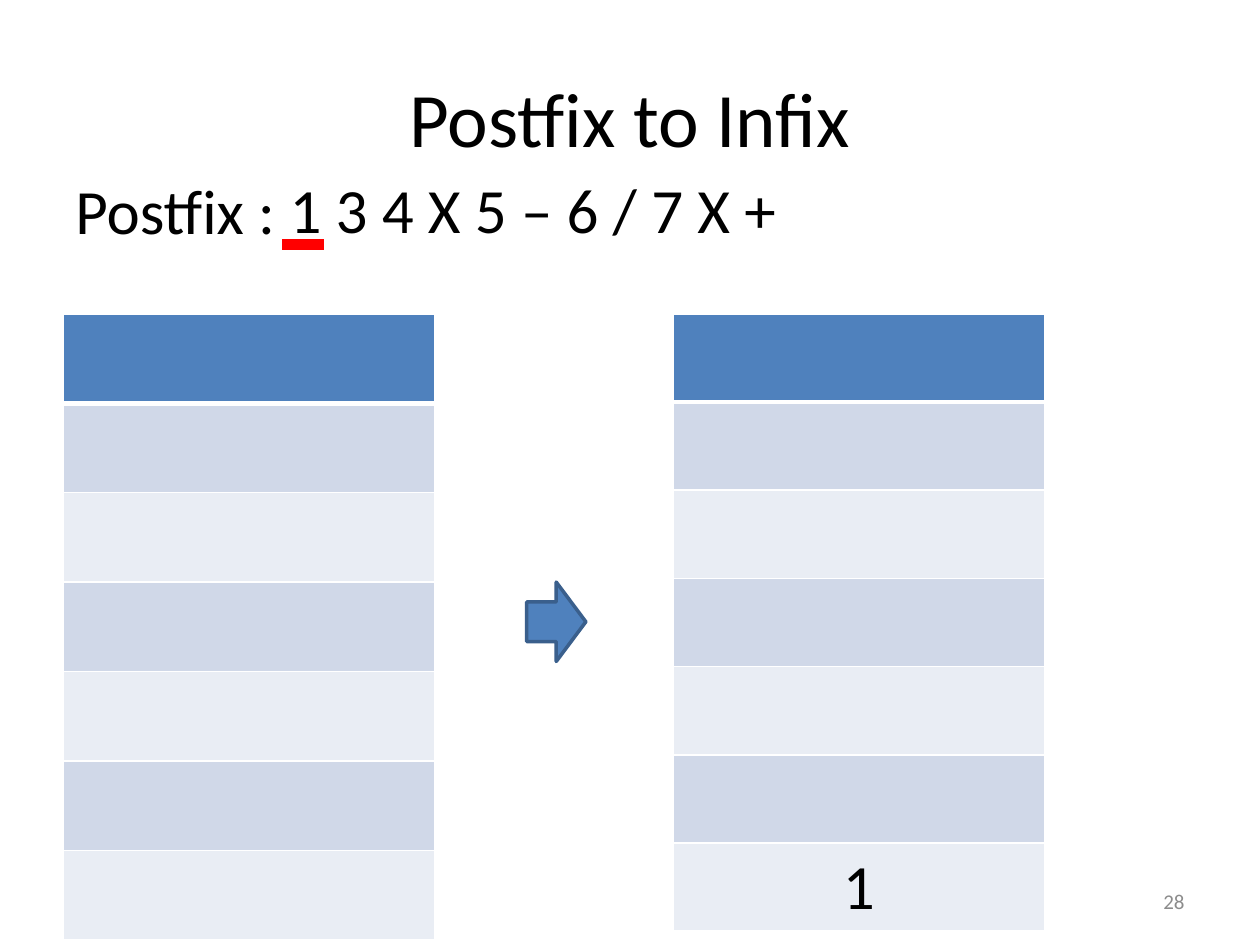
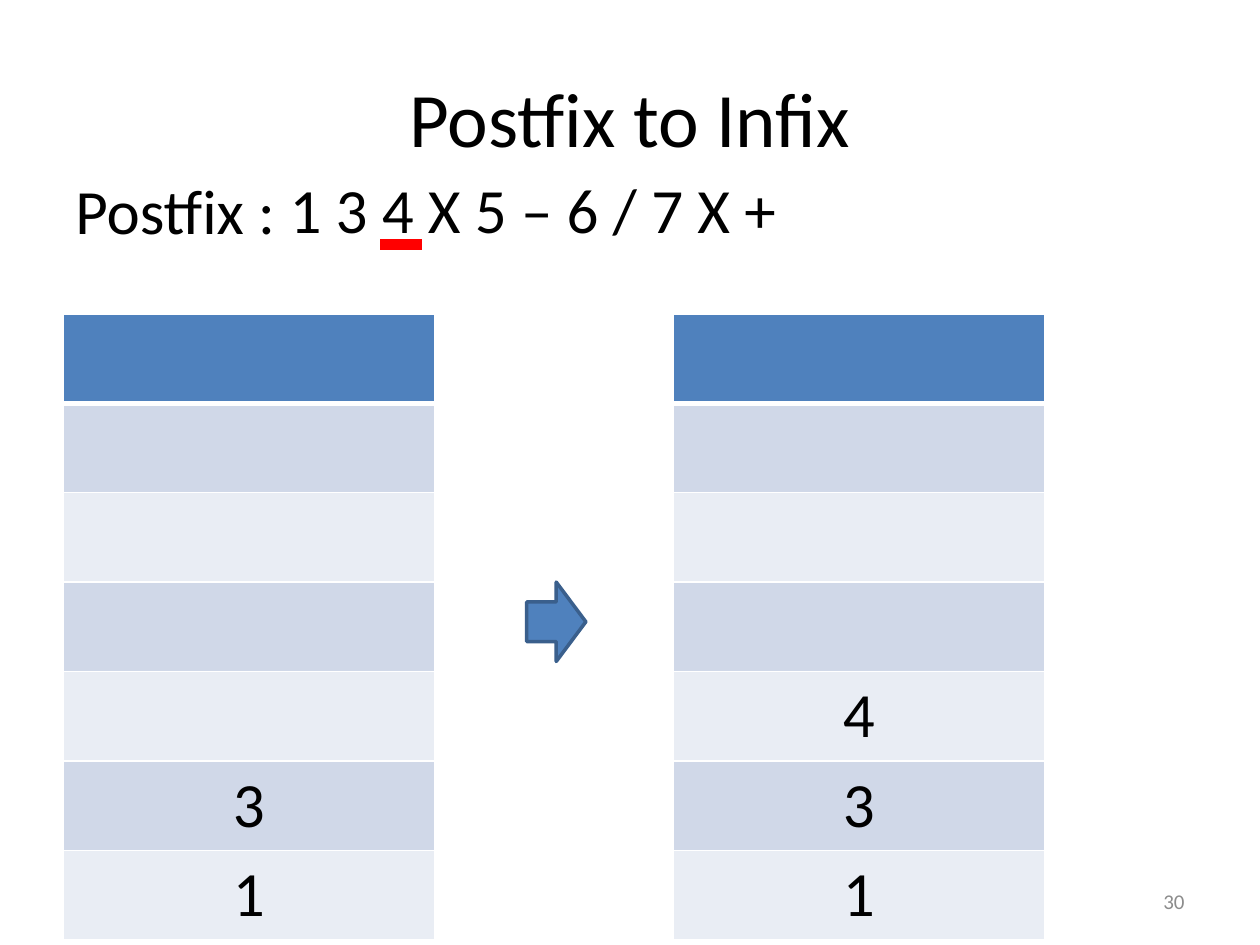
from dataclasses import dataclass

from lxml import etree
from pptx import Presentation
from pptx.dml.color import RGBColor
from pptx.enum.shapes import MSO_CONNECTOR as Connector, MSO_SHAPE as Shape
from pptx.enum.text import MSO_ANCHOR as Anchor, PP_ALIGN as Align
from pptx.oxml.ns import qn
from pptx.util import Inches, Pt

BLACK = RGBColor(0x00, 0x00, 0x00)
WHITE = RGBColor(0xFF, 0xFF, 0xFF)
GREY = RGBColor(0x8C, 0x8C, 0x8C)
RED = RGBColor(0xFF, 0x00, 0x00)
BLUE = RGBColor(0x4F, 0x81, 0xBD)
DARK_BLUE = RGBColor(0x3A, 0x5F, 0x8C)
BANDS = (RGBColor(0xE9, 0xED, 0xF4), RGBColor(0xD0, 0xD8, 0xE8))

FONT = "Calibri"
WIDTH, HEIGHT = Inches(10), Inches(7.5)
COLUMNS, ROWS = 100, 75  # page grid
STACK_ROWS = 7
TOKEN_PITCH = 3.9  # grid columns from one operand to the next

TITLE = "Postfix to Infix"
EXPRESSION = "1 3 4 X 5 – 6 / 7 X +"


@dataclass
class Box:
    """A region measured in grid columns and rows."""
    left: float
    top: float
    width: float
    height: float

    def inner(self, left, top, width, height):
        return Box(self.left + left, self.top + top, width, height)

    def lengths(self):
        column, row = WIDTH / COLUMNS, HEIGHT / ROWS
        return (round(self.left * column), round(self.top * row),
                round(self.width * column), round(self.height * row))


PAGE = Box(0, 0, COLUMNS, ROWS)


def write(frame, text, size, color=BLACK, align=Align.LEFT):
    para = frame.paragraphs[0]
    para.alignment = align
    span = para.add_run()
    span.text = text
    span.font.name = FONT
    span.font.size = Pt(size)
    span.font.color.rgb = color


def add_text(page, box, text, size, color=BLACK, align=Align.LEFT, anchor=Anchor.TOP):
    frame = page.shapes.add_textbox(*box.lengths()).text_frame
    frame.word_wrap = True
    frame.vertical_anchor = anchor
    write(frame, text, size, color, align)


def add_title(page, box):
    title = page.shapes.title
    title.left, title.top, title.width, title.height = box.lengths()
    title.text_frame.vertical_anchor = Anchor.MIDDLE
    write(title.text_frame, TITLE, 44, align=Align.CENTER)


def add_expression(page, box, token):
    # Label and expression
    add_text(page, box.inner(0, 0.1, 36.7, 7.1), "Postfix :", 36)
    add_text(page, box.inner(17, 0, 62.9, 7.1), EXPRESSION, 36)

    # Bar under the token being read
    left, top, width, _ = box.inner(17.4 + token * TOKEN_PITCH, 6.4, 3.3, 0).lengths()
    bar = page.shapes.add_connector(Connector.STRAIGHT, left, top, left + width, top)
    bar.line.color.rgb = RED
    bar.line.width = Pt(6)
    etree.SubElement(bar._element.spPr, qn("a:effectLst"))


def set_borders(cell, top, bottom):
    properties = cell._tc.get_or_add_tcPr()
    for side, points in (("L", 1), ("R", 1), ("T", top), ("B", bottom)):
        line = etree.SubElement(properties, qn(f"a:ln{side}"), w=str(Pt(points)))
        fill = etree.SubElement(line, qn("a:solidFill"))
        etree.SubElement(fill, qn("a:srgbClr"), val=str(WHITE))


def add_stack(page, box, values):
    """Draw a stack; values run from the bottom up."""
    table = page.shapes.add_table(STACK_ROWS, 1, *box.lengths()).table
    for index in range(STACK_ROWS):
        cell = table.cell(index, 0)
        set_borders(cell, top=3 if index == 1 else 1, bottom=3 if index == 0 else 1)
        cell.fill.solid()
        cell.fill.fore_color.rgb = BANDS[index % 2] if index else BLUE
        depth = STACK_ROWS - 1 - index
        if depth < len(values):
            write(cell.text_frame, values[depth], 36, align=Align.CENTER)


def add_step(page, box, before, after, after_row):
    # Stacks before and after the token is read
    add_stack(page, box.inner(0, 0, 29.5, 7.1 * STACK_ROWS), before)
    add_stack(page, box.inner(48.4, 0, 29.5, after_row * STACK_ROWS), after)

    # Arrow between the stacks
    arrow = page.shapes.add_shape(Shape.RIGHT_ARROW, *box.inner(36.8, 21.3, 4.7, 6.3).lengths())
    arrow.shadow.inherit = False
    arrow.fill.solid()
    arrow.fill.fore_color.rgb = BLUE
    arrow.line.color.rgb = DARK_BLUE
    arrow.line.width = Pt(2)


def add_page(deck, number, token, before, after, after_row=7.1):
    page = deck.slides.add_slide(deck.slide_layouts.get_by_name("Title Only"))
    add_title(page, PAGE.inner(5, 3, 90, 12.5))
    add_expression(page, PAGE.inner(5, 13, 79.9, 7.2), token)
    add_step(page, PAGE.inner(5, 24.9, 77.9, 50), before, after, after_row)
    add_text(page, PAGE.inner(71.7, 69.5, 23.3, 4), number, 12, GREY, Align.RIGHT, Anchor.MIDDLE)


def main():
    deck = Presentation()
    deck.slide_width, deck.slide_height = WIDTH, HEIGHT
    add_page(deck, "28", token=0, before=[], after=["1"], after_row=7)
    add_page(deck, "30", token=2, before=["1", "3"], after=["1", "3", "4"])
    deck.save("out.pptx")


if __name__ == "__main__":
    main()
